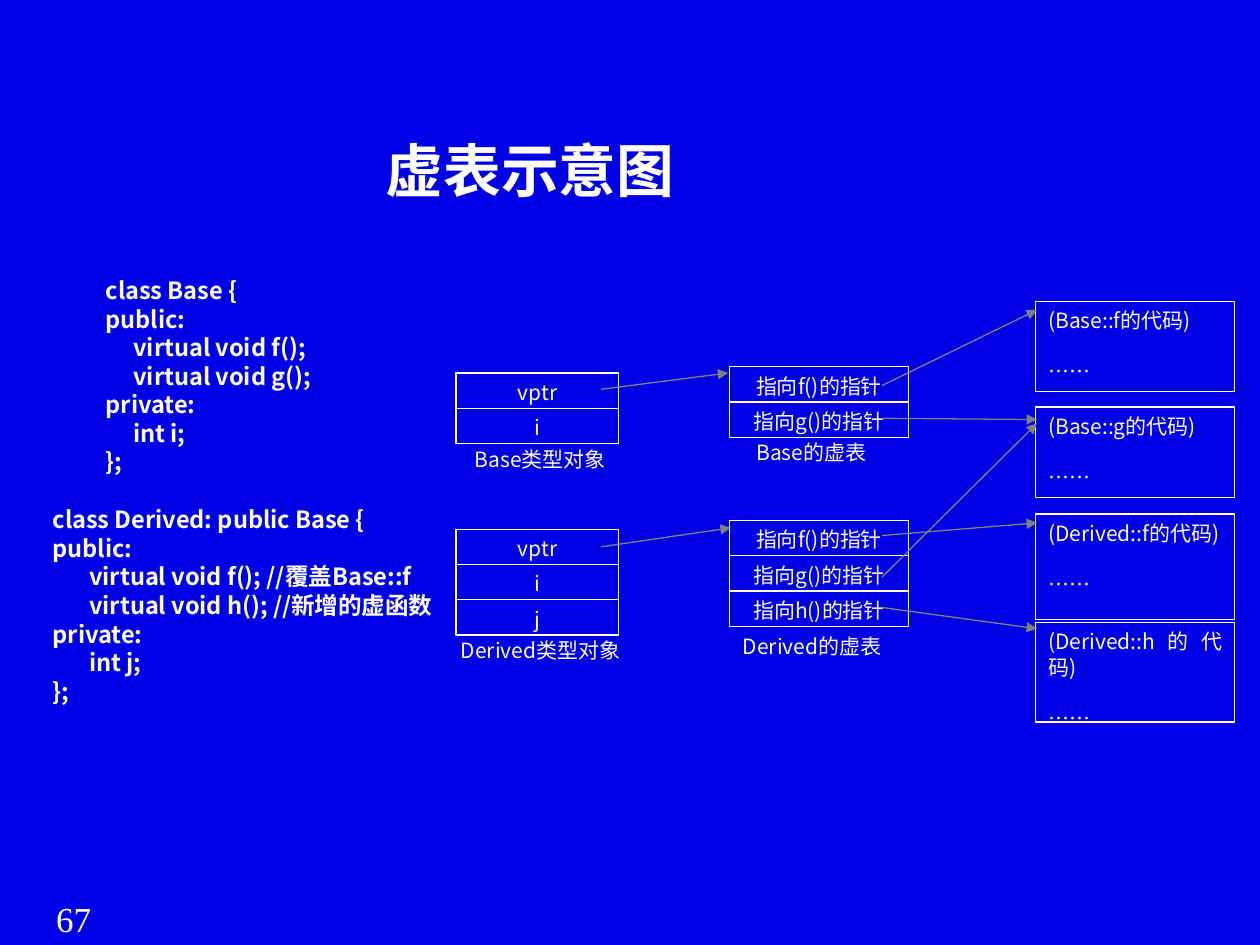
import pptx
import pptx.util
import pptx.dml.color
import pptx.enum.shapes
import pptx.enum.text
import pptx.oxml.ns
from lxml import etree
from pptx.util import Inches

THEME = {
    "bg": "0000E7", "text": "FFFFFF", "arrow": "808080",
    "font": "Noto Sans CJK SC", "number_font": "Times New Roman",
    "title": 33, "body": 12, "code": 13.5, "number": 20,
    "body_line": 14.5, "code_line": 16.3, "stroke": 0.75,
}
ALIGN = pptx.enum.text.PP_ALIGN
qn = pptx.oxml.ns.qn


def rgb(name):
    return pptx.dml.color.RGBColor.from_string(THEME[name])


def write(sp, text, size="body", font="font", bold=False, align=ALIGN.LEFT,
          line=None, tab=None, gap=0, margins=(0.1, 0.05),
          anchor=pptx.enum.text.MSO_ANCHOR.TOP):
    tf = sp.text_frame
    tf.word_wrap = True
    tf.auto_size = pptx.enum.text.MSO_AUTO_SIZE.NONE
    tf.vertical_anchor = anchor
    tf.margin_left = tf.margin_right = Inches(margins[0])
    tf.margin_top = tf.margin_bottom = Inches(margins[1])
    for n, words in enumerate(text.split("\n")):
        p = tf.add_paragraph() if n else tf.paragraphs[0]
        p.alignment = align
        p.space_before = pptx.util.Pt(gap if n else 0)
        if line:
            p.line_spacing = pptx.util.Pt(THEME[line])
        if tab:
            tabs = etree.SubElement(p._p.get_or_add_pPr(), qn("a:tabLst"))
            etree.SubElement(tabs, qn("a:tab"), pos=str(Inches(tab)), algn="l")
        r = p.add_run()
        r.text = words
        r.font.name = THEME[font]
        r.font.size = pptx.util.Pt(THEME[size])
        r.font.bold = bold
        r.font.color.rgb = rgb("text")
        latin = r.font._element.find(qn("a:latin"))
        latin.addnext(etree.Element(qn("a:ea"), typeface=THEME[font]))


prs = pptx.Presentation()
prs.slide_width, prs.slide_height = Inches(10), Inches(7.5)
s = prs.slides.add_slide(prs.slide_layouts[5])
s.background.fill.solid()
s.background.fill.fore_color.rgb = rgb("bg")

title = s.shapes.title
title.left, title.top = Inches(2.99), Inches(1)
title.width, title.height = Inches(6.91), Inches(0.69)
write(title, "虚表示意图", size="title", bold=True, margins=(0.07, 0.04),
      anchor=pptx.enum.text.MSO_ANCHOR.MIDDLE)

object_x, object_w = 3.62, 1.29
vtable_x, vtable_w = 5.79, 1.42
code_x, code_w = 8.22, 1.58
row_h = 0.28

boxes = []
stacks = [
    (object_x, 2.96, object_w, ["vptr", "i"]),
    (object_x, 4.2, object_w, ["vptr", "i", "j"]),
    (vtable_x, 2.91, vtable_w, ["指向f()的指针", "指向g()的指针"]),
    (vtable_x, 4.13, vtable_w, ["指向f()的指针", "指向g()的指针", "指向h()的指针"]),
]
for x, y, w, rows in stacks:
    for n, label in enumerate(rows):
        boxes.append((x, y + n * row_h, w, row_h, label, ALIGN.CENTER))
for y, h, name in [(2.39, 0.72, "Base::f"), (3.23, 0.72, "Base::g"),
                   (4.08, 0.84, "Derived::f"), (4.94, 0.79, "Derived::h")]:
    boxes.append((code_x, y, code_w, h, f"({name}的代码)\n……", ALIGN.JUSTIFY))

for x, y, w, h, label, align in boxes:
    sp = s.shapes.add_shape(pptx.enum.shapes.MSO_SHAPE.RECTANGLE,
                            Inches(x), Inches(y), Inches(w), Inches(h))
    sp.shadow.inherit = False
    sp.fill.background()
    sp.line.color.rgb = rgb("text")
    sp.line.width = pptx.util.Pt(THEME["stroke"])
    write(sp, label, align=align, line="body_line", gap=THEME["body_line"])

captions = [
    (3.67, 3.49, 1.24, "Base类型对象", ALIGN.JUSTIFY),
    (3.56, 5.01, 1.51, "Derived类型对象", ALIGN.JUSTIFY),
    (5.82, 3.44, 1.24, "Base的虚表", ALIGN.CENTER),
    (5.74, 4.98, 1.41, "Derived的虚表", ALIGN.CENTER),
]
for x, y, w, label, align in captions:
    sp = s.shapes.add_textbox(Inches(x), Inches(y), Inches(w), Inches(0.27))
    write(sp, label, align=align, line="body_line")

arrows = [
    (4.77, 3.09, 5.78, 2.96), (4.77, 4.34, 5.8, 4.19),
    (7, 3.06, 8.23, 2.46), (7, 3.32, 8.23, 3.33),
    (7, 4.25, 8.23, 4.15), (7, 4.58, 8.23, 3.36),
    (6.99, 4.82, 8.23, 4.99),
]
for ends in arrows:
    cx = s.shapes.add_connector(pptx.enum.shapes.MSO_CONNECTOR.STRAIGHT,
                                *[Inches(v) for v in ends])
    cx.line.color.rgb = rgb("arrow")
    cx.line.width = pptx.util.Pt(THEME["stroke"])
    etree.SubElement(cx.line._get_or_add_ln(), qn("a:tailEnd"), type="triangle")
    etree.SubElement(cx._element.spPr, qn("a:effectLst"))

base_code = """class Base {
public:
\tvirtual void f();
\tvirtual void g();
private:
\tint i;
};"""
derived_code = """class Derived: public Base {
public:
\tvirtual void f(); //覆盖Base::f
\tvirtual void h(); //新增的虚函数
private:
\tint j;
};"""
for x, y, w, code, tab in [(0.74, 2.14, 2.69, base_code, 0.22),
                           (0.32, 3.96, 3.63, derived_code, 0.29)]:
    sp = s.shapes.add_textbox(Inches(x), Inches(y), Inches(w), Inches(1.69))
    write(sp, code, size="code", bold=True, line="code_line", tab=tab)

number = s.shapes.add_textbox(Inches(0.17), Inches(7.07), Inches(0.83), Inches(0.43))
write(number, "67", size="number", font="number_font", align=ALIGN.CENTER)

prs.save("out.pptx")
